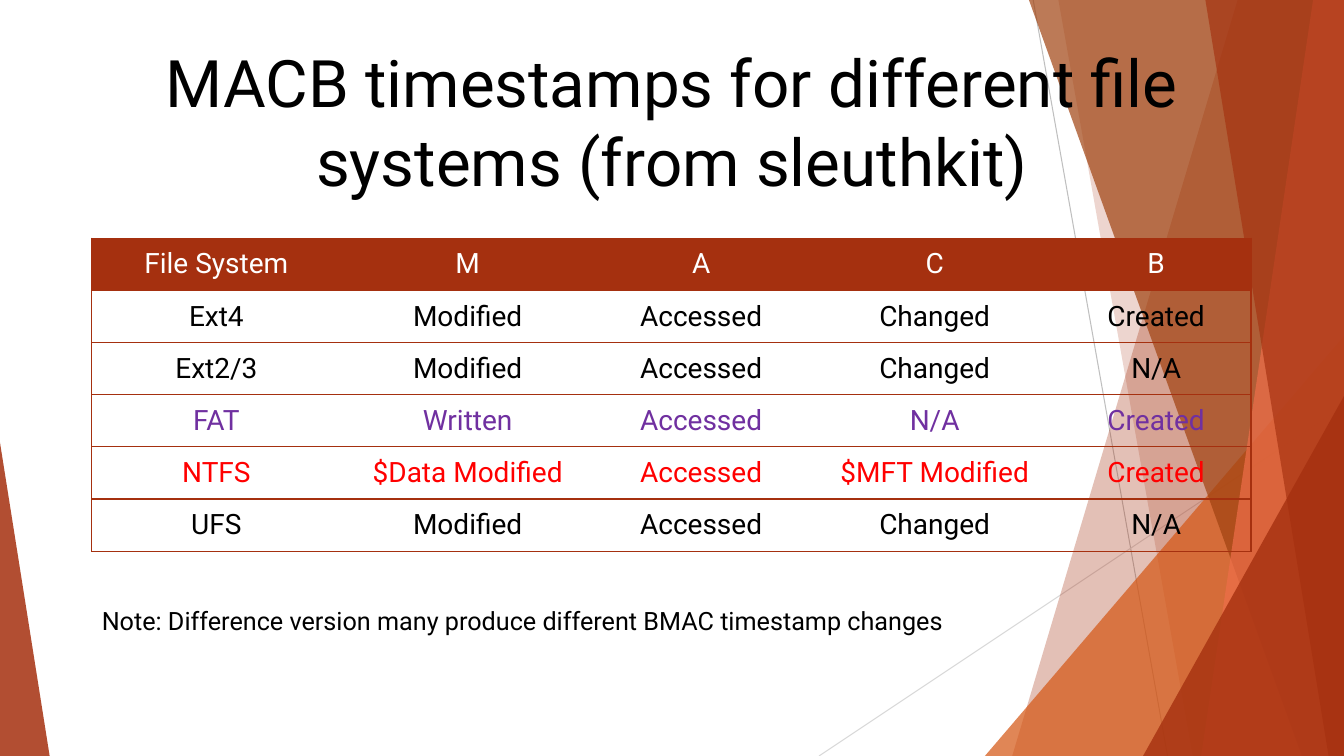
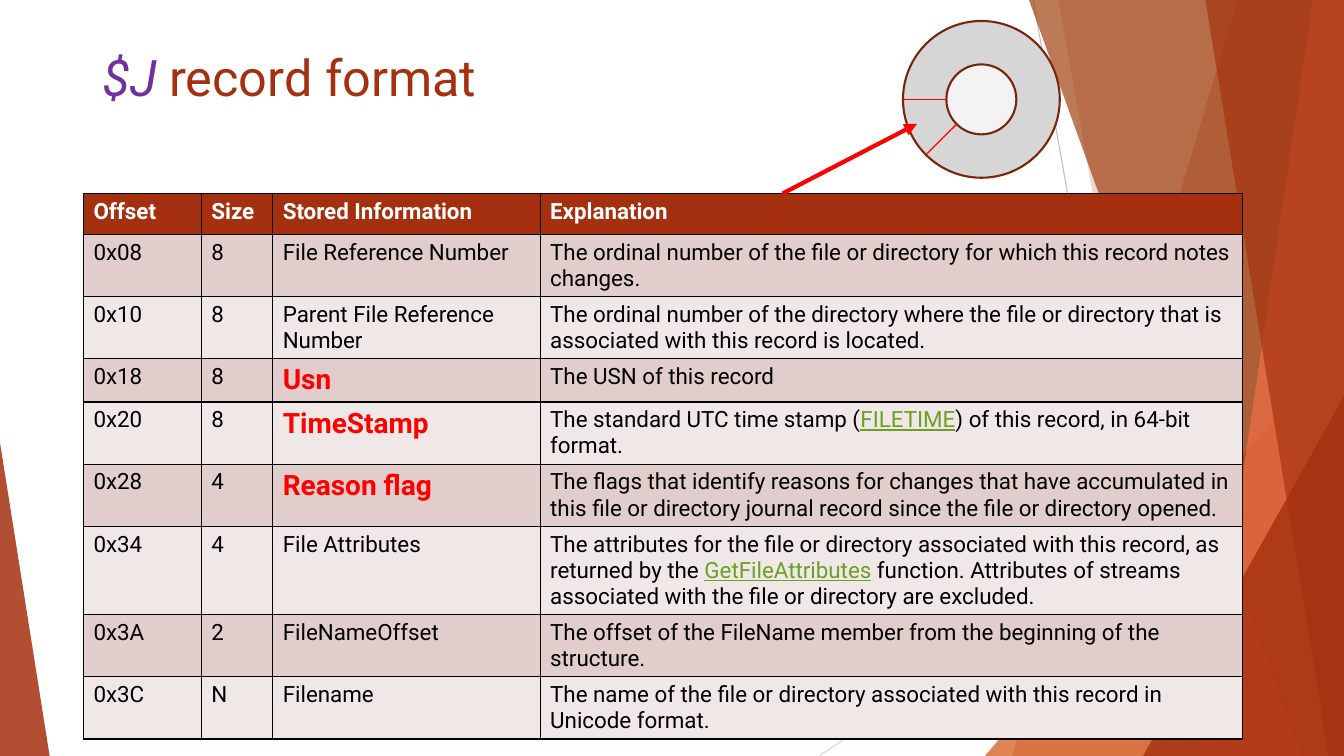
"""Build two slides on file-system timestamps and the $J record format."""
from dataclasses import dataclass

from lxml.etree import SubElement
from pptx import Presentation
from pptx.dml.color import RGBColor
from pptx.enum.shapes import MSO_CONNECTOR as CONN, MSO_SHAPE as SHAPE
from pptx.enum.text import MSO_ANCHOR as ANCHOR, MSO_AUTO_SIZE as AUTO, PP_ALIGN as ALIGN
from pptx.oxml import parse_xml
from pptx.oxml.ns import nsdecls, qn
from pptx.util import Pt


@dataclass(frozen=True)
class Theme:
    """Colours, font and type sizes."""
    font: str = "Roboto"
    brick: str = "A5300F"
    orange: str = "D55816"
    brown: str = "A04210"
    coral: str = "EE6E4A"
    outline: str = "7A240B"
    purple: str = "7030A0"
    red: str = "FF0000"
    green: str = "6B9F25"
    black: str = "000000"
    white: str = "FFFFFF"
    bands: tuple = ("E1CDCC", "F0E8E7")
    ring: str = "D6D6D6"
    hole: str = "F3F3F3"
    title_big: float = 46.8
    title: float = 36
    large: float = 20
    note: float = 18
    body: float = 16


T = Theme()
W, H = 960, 540

RULES = [("BFBFBF", 738, 0, 834, H), ("D9D9D9", W, 290, 585, H)]
WINGS = [
    ("band", T.brick, 30, (884, 723)),
    ("band", T.brick, 20, (756, 852)),
    ("triangle", T.orange, 72, (703.5, 240, 256.5, 300, 1)),
    ("band", T.brown, 70, (735, 930)),
    ("band", T.coral, 70, (938, 858)),
    ("band", T.brick, 65, (861, 949)),
    ("triangle", T.brick, 80, (816.5, 283, 143.5, 257, 1)),
    ("triangle", T.brick, 85, (0, 316, 35.5, 224, 0)),
]

MACB_TITLE = "MACB timestamps for different file systems (from sleuthkit)"
MACB_ROWS = [
    (T.white, ("File System", "M", "A", "C", "B")),
    (T.black, ("Ext4", "Modified", "Accessed", "Changed", "Created")),
    (T.black, ("Ext2/3", "Modified", "Accessed", "Changed", "N/A")),
    (T.purple, ("FAT", "Written", "Accessed", "N/A", "Created")),
    (T.red, ("NTFS", "$Data Modified", "Accessed", "$MFT Modified", "Created")),
    (T.black, ("UFS", "Modified", "Accessed", "Changed", "N/A")),
]
MACB_COLS = (178, 181, 152.6, 181, 135.4)
MACB_NOTE = "Note: Difference version many produce different BMAC timestamp changes"

KEY = {"size": T.large, "bold": True, "color": T.red}
LINK = {"underline": True, "color": T.green}
RECORD_TITLE = [("$J ", {"italic": True, "color": T.purple}), ("record format", {})]
RECORD_ROWS = [
    (29.2, "Offset", "Size", "Stored Information", "Explanation"),
    (44.4, "0x08", "8", "File Reference Number",
     "The ordinal number of the file or directory for which this record notes changes."),
    (44.4, "0x10", "8", "Parent File Reference Number",
     "The ordinal number of the directory where the file or directory that is "
     "associated with this record is located."),
    (31, "0x18", "8", [("Usn", KEY)], "The USN of this record"),
    (44.4, "0x20", "8", [("TimeStamp", KEY)],
     [("The standard UTC time stamp (", {}), ("FILETIME", LINK),
      (") of this record, in 64-bit format.", {})]),
    (44.4, "0x28", "4", [("Reason flag", KEY)],
     "The flags that identify reasons for changes that have accumulated in this file "
     "or directory journal record since the file or directory opened."),
    (62.8, "0x34", "4", "File Attributes",
     [("The attributes for the file or directory associated with this record, "
       "as returned by the ", {}), ("GetFileAttributes", LINK),
      (" function. Attributes of streams associated with the file or directory "
       "are excluded.", {})]),
    (44.4, "0x3A", "2", "FileNameOffset",
     "The offset of the FileName member from the beginning of the structure."),
    (44.4, "0x3C", "N", "Filename",
     "The name of the file or directory associated with this record in Unicode format."),
]
RECORD_COLS = (84.2, 51, 191, 502)

DISKS = [(645, 15, 112, T.ring), (676, 46, 50, T.hole)]
SECTORS = [(645, 71, 676, 71), (662, 110, 683.5, 88.5)]
POINTER = (559, 138.2, 655, 88.5)


def rgb(code):
    """Turn a hex code into a colour."""
    return RGBColor.from_string(code)


def write(tf, content, align=ALIGN.LEFT, **base):
    """Write plain text or (text, format) runs as one paragraph."""
    p = tf.paragraphs[0]
    p.alignment = align
    for text, extra in [(content, {})] if isinstance(content, str) else content:
        r = p.add_run()
        r.text = text
        fmt = {"name": T.font, "color": T.black, **base, **extra}
        r.font.color.rgb = rgb(fmt.pop("color"))
        fmt["size"] = Pt(fmt["size"])
        for key, value in fmt.items():
            setattr(r.font, key, value)


def place(shape, left, top, width, height):
    """Set a shape's frame in points."""
    shape.left, shape.top, shape.width, shape.height = map(Pt, (left, top, width, height))


def add_line(s, color, width, ends, arrow=False):
    """Draw a straight line, with an arrowhead if asked."""
    c = s.shapes.add_connector(CONN.STRAIGHT, *map(Pt, ends))
    c.line.color.rgb = rgb(color)
    c.line.width = Pt(width)
    pr = c.element.spPr
    if arrow:
        SubElement(pr.find(qn("a:ln")), qn("a:tailEnd"), type="triangle")
    SubElement(pr, qn("a:effectLst"))
    return c


def paint(sp, fill, line=None, alpha=None):
    """Fill and outline a shape without a shadow."""
    sp.shadow.inherit = False
    sp.fill.solid()
    sp.fill.fore_color.rgb = rgb(fill)
    if alpha:
        clr = sp.element.spPr.find(".//" + qn("a:srgbClr"))
        SubElement(clr, qn("a:alpha"), val=str(alpha * 1000))
    if line:
        sp.line.color.rgb = rgb(line)
        sp.line.width = Pt(1.5)
    else:
        sp.line.fill.background()


def add_wing(s, kind, color, alpha, geometry):
    """Draw one translucent facet."""
    if kind == "band":
        top, bottom = geometry
        fb = s.shapes.build_freeform(Pt(top), 0)
        fb.add_line_segments([(Pt(x), Pt(y)) for x, y in ((W, 0), (W, H), (bottom, H))])
        sp = fb.convert_to_shape()
    else:
        *frame, apex = geometry
        sp = s.shapes.add_shape(SHAPE.ISOSCELES_TRIANGLE, *map(Pt, frame))
        sp.adjustments[0] = apex
    paint(sp, color, alpha=alpha)
    return sp


def decorate(layout, s):
    """Draw the facets and move them to the shared layout."""
    for ph in list(layout.placeholders)[1:]:
        ph.element.getparent().remove(ph.element)
    shapes = [add_line(s, color, 0.75, ends) for color, *ends in RULES]
    shapes += [add_wing(s, *wing) for wing in WINGS]
    for i, sp in enumerate(shapes):
        layout.shapes.element.insert(2 + i, sp.element)


def set_title(s, content, frame, anchor, **fmt):
    """Place and format the title placeholder."""
    title = s.shapes.title
    place(title, *frame)
    tf = title.text_frame
    tf.word_wrap, tf.auto_size, tf.vertical_anchor = True, AUTO.NONE, anchor
    write(tf, content, **fmt)


def add_grid(s, left, top, cols, heights):
    """Add a plain table with the given column widths and row heights."""
    tbl = s.shapes.add_table(len(heights), len(cols), Pt(left), Pt(top),
                             Pt(sum(cols)), Pt(sum(heights))).table
    tbl.horz_banding = False
    for col, width in zip(tbl.columns, cols):
        col.width = Pt(width)
    for row, height in zip(tbl.rows, heights):
        row.height = Pt(height)
    return tbl


def style_cell(cell, fill, color, sides):
    """Fill a cell and draw only the named sides."""
    if fill:
        cell.fill.solid()
        cell.fill.fore_color.rgb = rgb(fill)
    else:
        cell.fill.background()
    tcPr = cell._tc.get_or_add_tcPr()
    for i, side in enumerate("LRTB"):
        paint_xml = (f'<a:solidFill><a:srgbClr val="{color}"/></a:solidFill>'
                     if side in sides else "<a:noFill/>")
        tcPr.insert(i, parse_xml(
            f'<a:ln{side} {nsdecls("a")} w="12700">{paint_xml}</a:ln{side}>'))


def macb_slide(s):
    """Fill the timestamp comparison slide."""
    set_title(s, MACB_TITLE, (66, 44, 828, 102), ANCHOR.BOTTOM,
              align=ALIGN.CENTER, size=T.title_big)
    tbl = add_grid(s, 65.6, 170.2, MACB_COLS, [37.25] * len(MACB_ROWS))
    last = len(MACB_COLS) - 1
    for i, (color, texts) in enumerate(MACB_ROWS):
        for j, text in enumerate(texts):
            cell = tbl.cell(i, j)
            cell.vertical_anchor = ANCHOR.MIDDLE
            for side in ("left", "right", "top", "bottom"):
                setattr(cell, f"margin_{side}", Pt(5))
            sides = "TB" + "L" * (j == 0) + "R" * (j == last)
            style_cell(cell, None if i else T.brick, T.brick, sides)
            write(cell.text_frame, text, ALIGN.CENTER, size=T.large, color=color)
    tf = s.shapes.add_textbox(Pt(65.6), Pt(428.5), Pt(711), Pt(29)).text_frame
    tf.word_wrap = True
    write(tf, MACB_NOTE, size=T.note)


def record_slide(s):
    """Fill the record format slide."""
    set_title(s, RECORD_TITLE, (66, 29, 828, 98), ANCHOR.TOP, size=T.title, color=T.brick)
    tbl = add_grid(s, 59.6, 138.2, RECORD_COLS, [row[0] for row in RECORD_ROWS])
    for i, (_, *texts) in enumerate(RECORD_ROWS):
        for j, content in enumerate(texts):
            cell = tbl.cell(i, j)
            style_cell(cell, T.bands[(i - 1) % 2] if i else T.brick, T.black, "LRTB")
            write(cell.text_frame, content, size=T.body, bold=i == 0,
                  color=T.black if i else T.white)
    for left, top, size, fill in DISKS:
        disk = s.shapes.add_shape(SHAPE.FLOWCHART_CONNECTOR, *map(Pt, (left, top, size, size)))
        paint(disk, fill, T.outline)
    for ends in SECTORS:
        add_line(s, T.red, 1, ends)
    add_line(s, T.red, 3, POINTER, arrow=True)


def main():
    """Build and save the deck."""
    prs = Presentation()
    prs.slide_width, prs.slide_height = Pt(W), Pt(H)
    layout = prs.slide_layouts[5]
    slides = [prs.slides.add_slide(layout) for _ in range(2)]
    decorate(layout, slides[0])
    for build, s in zip((macb_slide, record_slide), slides):
        build(s)
    prs.save("out.pptx")


if __name__ == "__main__":
    main()
